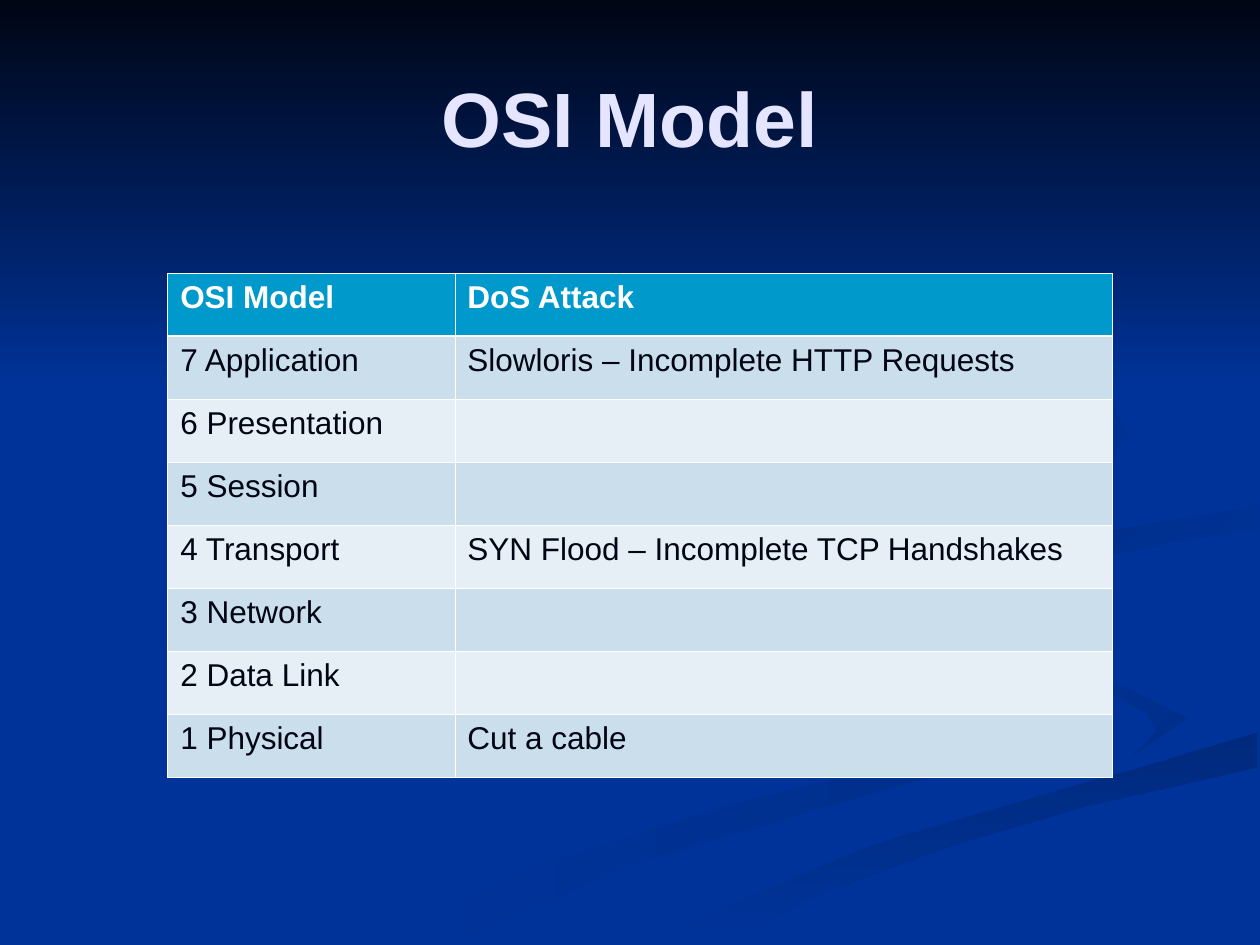
from lxml import etree
from pptx import Presentation
from pptx.dml.color import RGBColor
from pptx.enum.shapes import MSO_SHAPE
from pptx.enum.text import MSO_ANCHOR, PP_ALIGN
from pptx.oxml.ns import qn
from pptx.util import Cm, Pt

RECT = MSO_SHAPE.RECTANGLE
MIDDLE = MSO_ANCHOR.MIDDLE
CENTER = PP_ALIGN.CENTER
UNIT = Cm(2.54) / 100

THEME = {
    "base": "003399", "night": "000514", "white": "FFFFFF",
    "head": "0099CC", "odd": "CBDEEC", "even": "E7EFF6",
    "title": {"name": "Arial", "size": Pt(44), "bold": True, "color": "E5E5FF"},
    "top": {"name": "Arial", "size": Pt(18), "bold": True, "color": "FFFFFF"},
    "body": {"name": "Arial", "size": Pt(18), "bold": False, "color": "000514"},
    "thin": Pt(0.45), "thick": Pt(1.47),
}

SWIRLS = [
    ("003399", "002E8B", 0, [
        (781, 553), (661, 513), (575, 459), (602, 495), (752, 543),
        (785, 570), (727, 602), (579, 639), (417, 690), (300, 749),
        (361, 749), (499, 687), (676, 634), (780, 605), (800, 581)]),
    ("003399", "002E8B", 45, [
        (943, 570), (919, 547), (850, 524), (724, 464), (781, 518),
        (880, 549), (911, 567), (918, 581), (894, 605), (932, 589)]),
    ("002A7D", "003399", 90, [
        (503, 749), (571, 749), (649, 710), (752, 672), (861, 640),
        (998, 609), (998, 581), (903, 610), (764, 647), (630, 693)]),
    ("003399", "003399", 0, [
        (725, 464), (850, 524), (943, 570), (892, 605), (704, 655),
        (477, 749), (503, 749), (696, 669), (999, 581), (999, 538),
        (832, 498), (781, 463), (850, 427), (999, 402), (999, 387)]),
    ("002D86", "003399", 45, [
        (781, 460), (791, 478), (826, 496), (805, 472), (843, 448),
        (936, 429), (998, 420), (998, 402), (865, 424), (791, 447)]),
    ("002B82", "003399", 45, [
        (683, 430), (786, 412), (867, 384), (894, 344), (864, 291),
        (762, 233), (846, 279), (889, 335), (861, 370), (763, 398),
        (615, 429), (577, 462), (622, 500), (593, 470), (624, 444)]),
]

ROWS = [
    ("OSI Model", "DoS Attack"),
    ("7 Application", "Slowloris – Incomplete HTTP Requests"),
    ("6 Presentation", ""),
    ("5 Session", ""),
    ("4 Transport", "SYN Flood – Incomplete TCP Handshakes"),
    ("3 Network", ""),
    ("2 Data Link", ""),
    ("1 Physical", "Cut a cable"),
]


def shade(shape, start, end, angle):
    shape.shadow.inherit = False
    shape.line.fill.background()
    shape.fill.gradient()
    shape.fill.gradient_angle = (360 - angle) % 360
    for stop, color in zip(shape.fill.gradient_stops, (start, end)):
        stop.color.rgb = RGBColor.from_string(color)


def write(frame, text, style):
    para = frame.paragraphs[0]
    run = para.add_run()
    run.text = text
    for key, value in style.items():
        if key == "color":
            run.font.color.rgb = RGBColor.from_string(value)
        else:
            setattr(run.font, key, value)
    return para


deck = Presentation()
deck.slide_width, deck.slide_height = Cm(25.4), Cm(19.05)
slide = deck.slides.add_slide(deck.slide_layouts[5])
back = slide.background.fill
back.solid()
back.fore_color.rgb = RGBColor.from_string(THEME["base"])

for start, end, angle, points in SWIRLS:
    curve = slide.shapes.build_freeform(*points[0], scale=UNIT)
    curve.add_line_segments(points[1:], close=True)
    shade(curve.convert_to_shape(), start, end, angle)

sky = slide.shapes.add_shape(RECT, 0, 0, Cm(25.4), Cm(7.82))
shade(sky, THEME["night"], THEME["base"], 90)

title = slide.shapes.title
sky.element.addnext(title.element)
title.left, title.top = Cm(1.27), Cm(0.76)
title.width, title.height = Cm(22.86), Cm(3.18)
title.text_frame.vertical_anchor = MIDDLE
write(title.text_frame, "OSI Model", THEME["title"]).alignment = CENTER

table = slide.shapes.add_table(
    len(ROWS), 2, Cm(3.38), Cm(5.51), Cm(19.05), Cm(10.16)).table
for column, width in zip(table.columns, (5.79, 13.26)):
    column.width = Cm(width)

for i, row in enumerate(ROWS):
    table.rows[i].height = Cm(1.27)
    color = THEME["head"] if i == 0 else THEME["odd" if i % 2 else "even"]
    for j, text in enumerate(row):
        cell = table.cell(i, j)
        props = cell._tc.get_or_add_tcPr()
        for side in ("lnL", "lnR", "lnT", "lnB"):
            heavy = (i, side) in ((0, "lnB"), (1, "lnT"))
            width = THEME["thick" if heavy else "thin"]
            edge = etree.SubElement(props, qn("a:" + side), w=str(width))
            paint = etree.SubElement(edge, qn("a:solidFill"))
            etree.SubElement(paint, qn("a:srgbClr"), val=THEME["white"])
        cell.fill.solid()
        cell.fill.fore_color.rgb = RGBColor.from_string(color)
        if text:
            write(cell.text_frame, text, THEME["body" if i else "top"])

deck.save("out.pptx")
